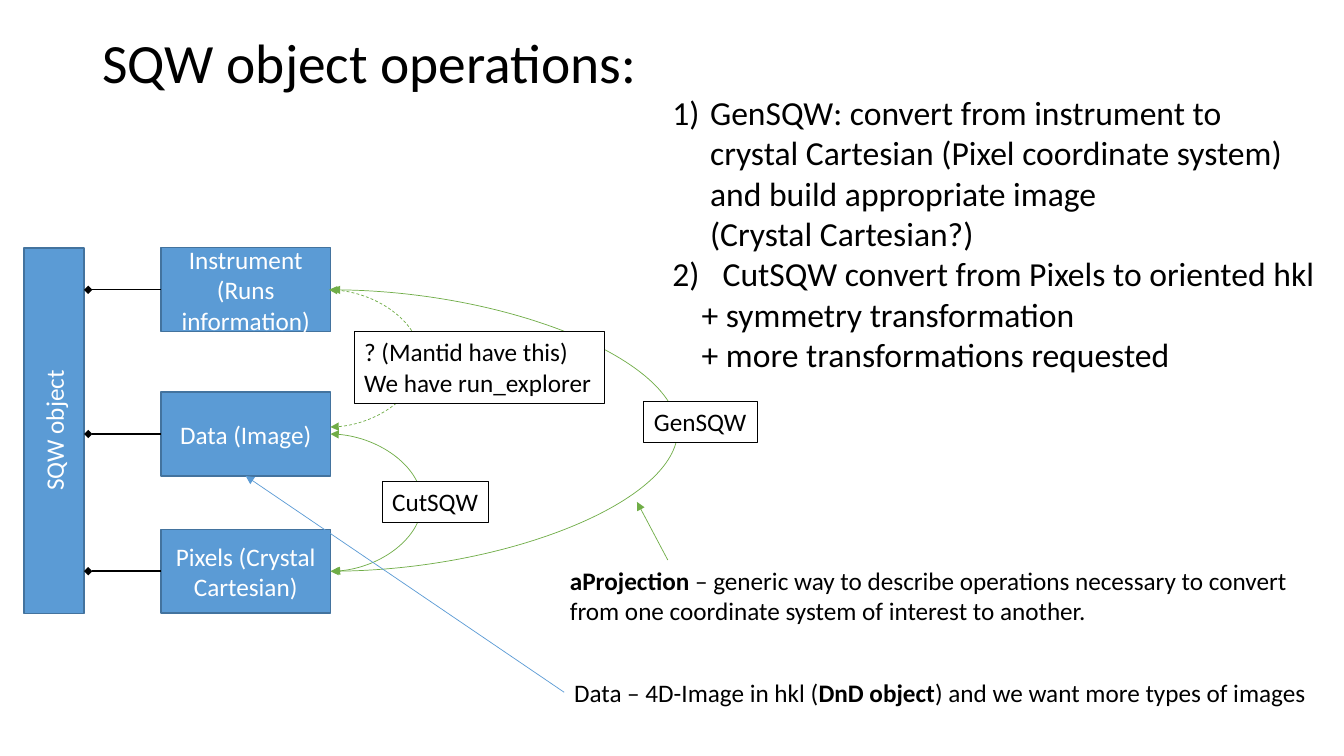
from lxml.etree import SubElement
from pptx import Presentation
from pptx.dml.color import RGBColor
from pptx.enum.dml import MSO_LINE_DASH_STYLE as DASH
from pptx.enum.shapes import MSO_CONNECTOR as CONN, MSO_SHAPE as SHAPE
from pptx.enum.text import MSO_ANCHOR as ANCHOR, MSO_AUTO_SIZE as AUTO, PP_ALIGN as ALIGN
from pptx.oxml.ns import qn
from pptx.util import Pt

# Content: ** marks the start and end of bold text
TITLE = "SQW object operations:"
BAR = "SQW object"
PARTS = [  # text, top
    ("Instrument (Runs information)", 177),
    ("Data (Image)", 280),
    ("Pixels (Crystal Cartesian)", 378),
]
OPERATIONS = [  # text, left margin, number
    ("GenSQW: convert from instrument to", 27, 1),
    ("crystal Cartesian (Pixel coordinate system)", 27, None),
    ("and build appropriate image", 27, None),
    ("(Crystal Cartesian?)", 27, None),
    ("CutSQW convert from Pixels to oriented hkl", 36, 2),
    ("+ symmetry transformation", 21, None),
    ("+ more transformations requested", 21, None),
]
LABELS = [  # lines, box
    (["CutSQW"], (273, 344, 76, 29)),
    (["GenSQW"], (460, 287, 81, 29)),
    (["? (Mantid have this)", "We have run_explorer"], (253, 237, 179, 51)),
]
NOTES = [  # lines, box
    (["**aProjection** – generic way to describe operations necessary to convert",
      "from one coordinate system of interest to another."], (400, 400, 540, 51)),
    (["Data – 4D-Image in hkl (**DnD object**) and we want more types of images"],
     (403, 480, 548, 29)),
]
COLORS = dict(black="000000", white="FFFFFF", blue="5B9BD5", edge="43739E", green="70AD47")

# Layout
PART_LEFT, PART_W, PART_H = 115, 121, 60
PART_RIGHT = PART_LEFT + PART_W
BAR_LEFT, BAR_W = 17, 43
BAR_END = BAR_LEFT + BAR_W + 3
MIDDLES = [top + PART_H / 2 for _, top in PARTS]
INSTRUMENT, DATA, PIXELS = MIDDLES
CURVES = [  # x1, y1, x2, y2, bulge, dash
    (PART_RIGHT, DATA, PART_RIGHT + 1, PIXELS, 66, None),
    (PART_RIGHT - 1, INSTRUMENT, PART_RIGHT, DATA - 5, 66, DASH.DASH),
    (PART_RIGHT + 1, INSTRUMENT, PART_RIGHT, PIXELS, 249, None),
]


def rgb(name):
    return RGBColor.from_string(COLORS[name])


def place(s, left, top, width, height):
    s.left, s.top, s.width, s.height = Pt(left), Pt(top), Pt(width), Pt(height)


def write(p, text, size=18, color="black", align=ALIGN.LEFT, spacing=1.0, margin=0, number=None):
    p.alignment, p.line_spacing = align, spacing
    p.space_before = p.space_after = Pt(0)
    pPr = p._p.get_or_add_pPr()
    pPr.set("marL", str(Pt(margin)))
    pPr.set("indent", str(Pt(-margin if number else 0)))
    if number:
        SubElement(pPr, qn("a:buAutoNum"), type="arabicParenR", startAt=str(number))
    else:
        SubElement(pPr, qn("a:buNone"))
    for i, piece in enumerate(text.split("**")):
        if piece:
            r = p.add_run()
            r.text = piece
            r.font.name, r.font.size, r.font.bold = "Calibri", Pt(size), i % 2 == 1
            r.font.color.rgb = rgb(color)


def fill_frame(tf, lines, anchor=ANCHOR.TOP, **fmt):
    tf.word_wrap, tf.auto_size, tf.vertical_anchor = True, AUTO.NONE, anchor
    for i, line in enumerate(lines):
        write(tf.paragraphs[0] if i == 0 else tf.add_paragraph(), line, **fmt)


def add_box(lines, box, fill, edge, weight, **fmt):
    s = slide.shapes.add_shape(SHAPE.RECTANGLE, *map(Pt, box))
    s.shadow.inherit = False
    s.fill.solid()
    s.fill.fore_color.rgb = rgb(fill)
    s.line.color.rgb, s.line.width = rgb(edge), Pt(weight)
    fill_frame(s.text_frame, lines, **fmt)
    return s


def add_line(x1, y1, x2, y2, color="green", weight=0.5, kind=CONN.STRAIGHT,
             dash=None, head=None, tail="triangle"):
    c = slide.shapes.add_connector(kind, Pt(x1), Pt(y1), Pt(x2), Pt(y2))
    c.line.color.rgb, c.line.width = rgb(color), Pt(weight)
    if dash:
        c.line.dash_style = dash
    ln = c.line._get_or_add_ln()
    for tag, end in (("a:headEnd", head), ("a:tailEnd", tail)):
        if end:
            SubElement(ln, qn(tag), type=end)
    SubElement(c._element.spPr, qn("a:effectLst"))
    return c


prs = Presentation()
prs.slide_width, prs.slide_height = Pt(960), Pt(540)
slide = prs.slides.add_slide(prs.slide_layouts[1])

# Title and numbered operations
title, body = slide.placeholders
place(title, 66, 29, 828, 35)
fill_frame(title.text_frame, [TITLE], anchor=ANCHOR.MIDDLE, size=39.6, spacing=0.9)
place(body, 473, 62, 477, 211)
tf = body.text_frame
tf.word_wrap, tf.auto_size, tf.margin_right = True, AUTO.NONE, 0
for i, (text, margin, number) in enumerate(OPERATIONS):
    write(tf.paragraphs[0] if i == 0 else tf.add_paragraph(), text,
          size=24, margin=margin, number=number)

# Object bar, turned a quarter, with its three parts
part_fmt = dict(fill="blue", edge="edge", weight=1, anchor=ANCHOR.MIDDLE,
                color="white", align=ALIGN.CENTER)
top, bottom = PARTS[0][1], PARTS[-1][1] + PART_H
length = bottom - top
bar = add_box([BAR], (BAR_LEFT + (BAR_W - length) / 2, (top + bottom - BAR_W) / 2,
                      length, BAR_W), **part_fmt)
bar.rotation = 270
for (text, top), middle in zip(PARTS, MIDDLES):
    add_box([text], (PART_LEFT, top, PART_W, PART_H), **part_fmt)
    add_line(PART_LEFT, middle, BAR_END, middle, color="black", weight=1, tail="diamond")

# Curved arrows between the parts
for x1, y1, x2, y2, bulge, dash in CURVES:
    c = add_line(x1, y1, x2, y2, kind=CONN.CURVE, dash=dash, head="triangle")
    guides = c._element.spPr.find(qn("a:prstGeom")).get_or_add_avLst()
    SubElement(guides, qn("a:gd"), name="adj1", fmla=f"val {bulge * 100000 // (x2 - x1)}")

# Labels on the curves
for lines, box in LABELS:
    s = add_box(lines, box, fill="white", edge="black", weight=0.75)
    s.text_frame.margin_right = 0

# Notes and their arrows
for lines, box in NOTES:
    s = slide.shapes.add_textbox(*map(Pt, box))
    s.text_frame.margin_right = 0
    fill_frame(s.text_frame, lines)
add_line(477, 400, 455, 358.5)
add_line(403, 494.5, PART_LEFT + PART_W / 2, PARTS[1][1] + PART_H, color="blue")

prs.save("out.pptx")
